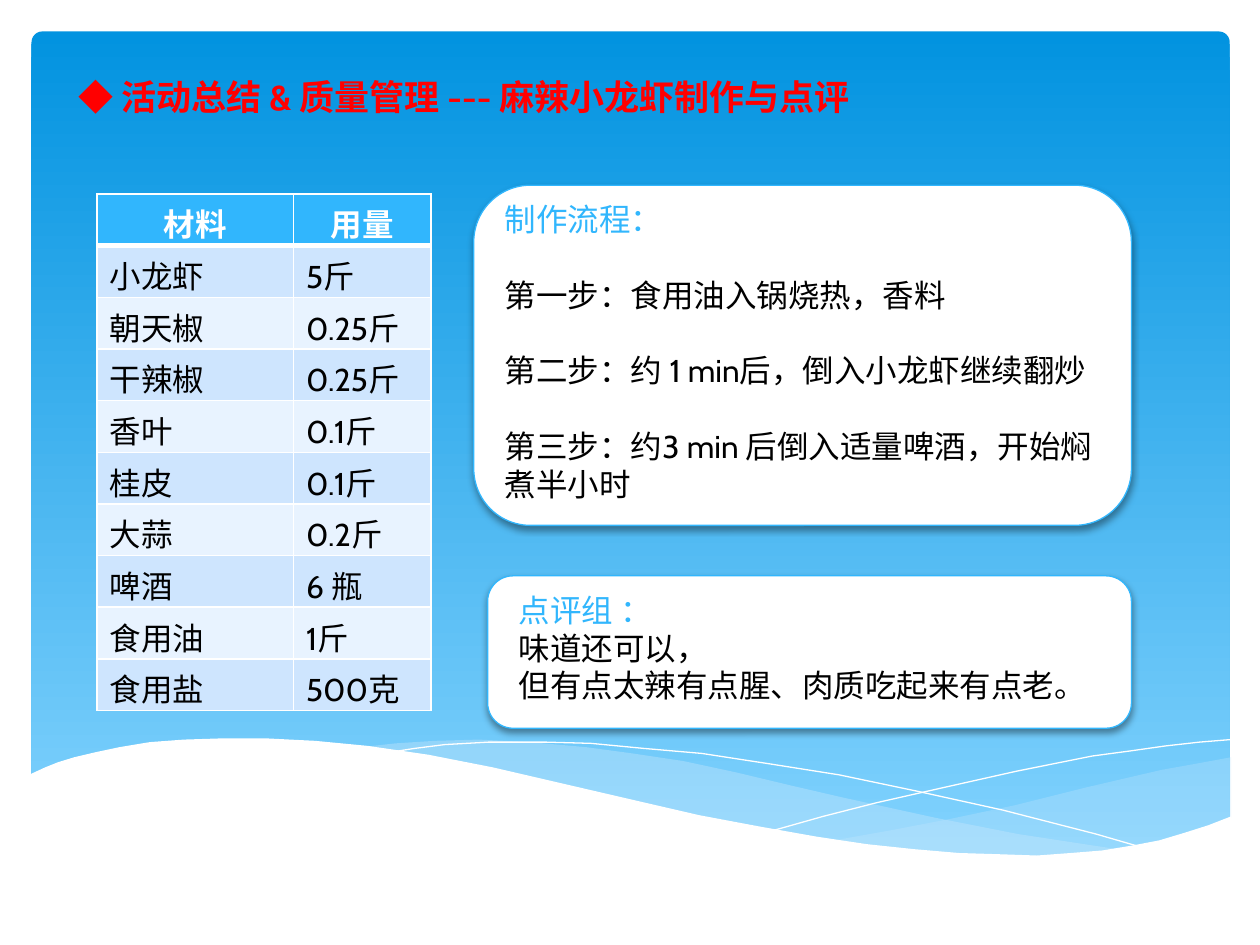
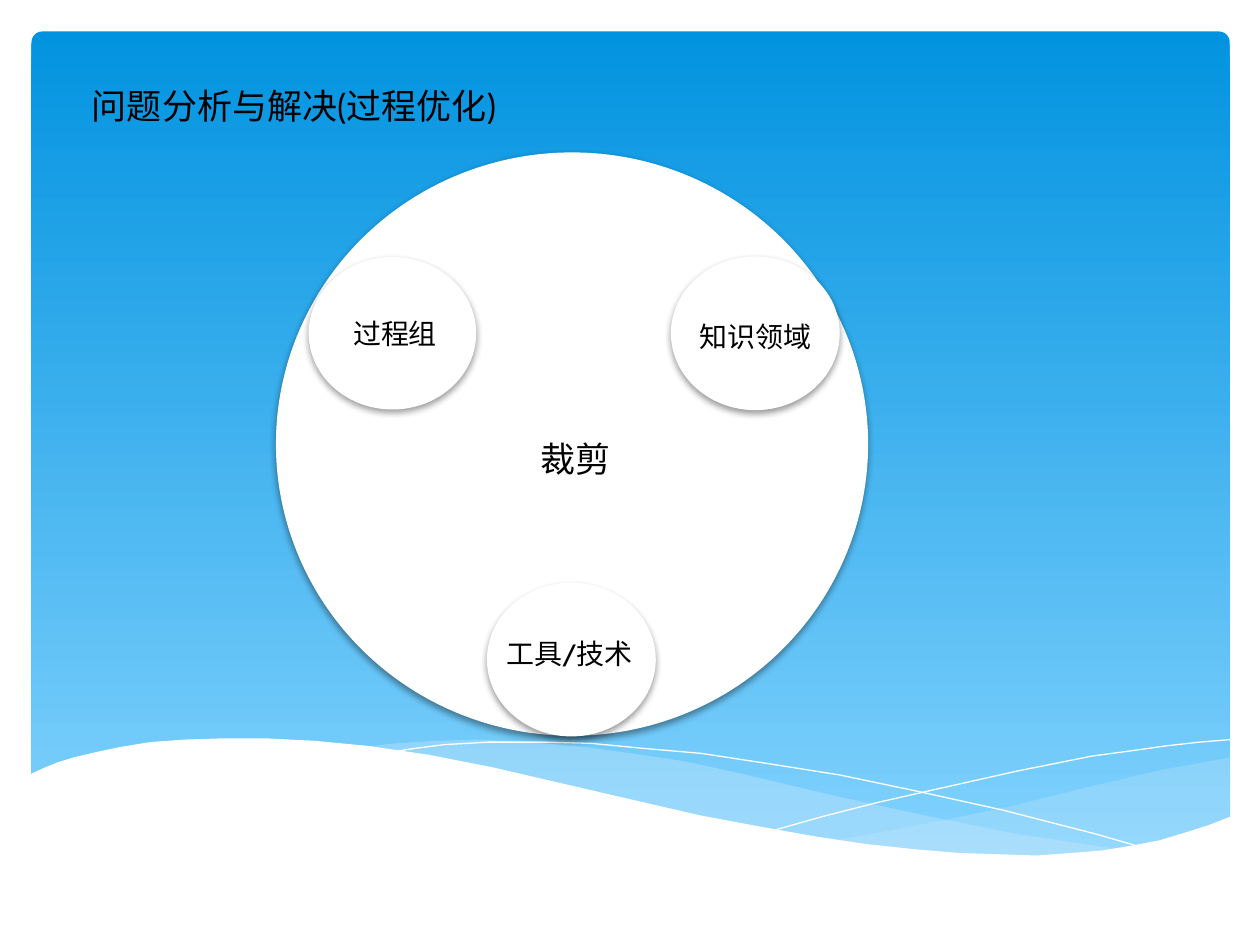
import pptx
import pptx.util
import pptx.dml.color
import pptx.enum.dml
import pptx.enum.shapes
import pptx.enum.text
import pptx.oxml
import pptx.oxml.ns
import lxml.etree

Inches = pptx.util.Inches
Pt = pptx.util.Pt
MSO_SHAPE = pptx.enum.shapes.MSO_SHAPE
PP_ALIGN = pptx.enum.text.PP_ALIGN
qn = pptx.oxml.ns.qn

FONT = "Cabin"
WHITE, BLACK, RED, BLUE = "FFFFFF", "000000", "FF0000", "31B6FD"
SKY_TOP, SKY_BOTTOM, HAZE = "0293E0", "83D3FE", "C6E7FC"
BAND_ROWS = ["E8F3FF", "CEE5FE"]

RIGHT_WAVE = [
    (9.77, 6.01), (9.5, 6.06), (9.22, 6.11), (8.92, 6.18), (8.62, 6.25),
    (8.06, 6.39), (7.54, 6.5), (7.07, 6.59), (6.62, 6.67), (6.92, 6.71),
    (7.33, 6.76), (7.7, 6.79), (8.04, 6.8), (8.36, 6.79), (8.64, 6.77),
    (8.9, 6.74), (9.14, 6.69), (9.37, 6.63), (9.64, 6.54), (9.77, 6.49)]
MIDDLE_WAVE = [
    (8.94, 6.75), (8.67, 6.71), (8.08, 6.62), (7.42, 6.49), (6.69, 6.33),
    (6.3, 6.24), (5.84, 6.13), (5.42, 6.04), (5.02, 5.98), (4.65, 5.93),
    (4.2, 5.89), (3.8, 5.87), (3.45, 5.88), (3.14, 5.9), (2.87, 5.93),
    (3.23, 5.98), (3.63, 6.04), (4.05, 6.13), (4.5, 6.24), (5.3, 6.42),
    (5.85, 6.54), (6.35, 6.63), (6.81, 6.7), (7.23, 6.76), (7.62, 6.79),
    (7.97, 6.8), (8.39, 6.8), (8.68, 6.78)]
FALLING_LINE = [
    (3.1, 5.97), (3.29, 5.94), (3.53, 5.91), (3.88, 5.89), (4.33, 5.89),
    (4.69, 5.9), (5.11, 5.94), (5.57, 5.98), (6.09, 6.06), (6.66, 6.15),
    (7.28, 6.28), (7.96, 6.43), (8.7, 6.62), (9.08, 6.73)]
RISING_LINE = [
    (6.14, 6.59), (6.53, 6.48), (6.96, 6.37), (7.49, 6.25), (8.07, 6.12),
    (8.67, 6), (8.97, 5.96), (9.25, 5.92), (9.52, 5.89), (9.76, 5.87)]
WHITE_WAVE = [
    (9.77, 6.48), (9.59, 6.55), (9.4, 6.61), (9.2, 6.67), (8.99, 6.71),
    (8.75, 6.75), (8.5, 6.77), (8.23, 6.79), (7.93, 6.78), (7.61, 6.77),
    (7.26, 6.74), (6.88, 6.7), (6.48, 6.64), (6.03, 6.56), (5.55, 6.47),
    (5.03, 6.35), (4.47, 6.22), (3.91, 6.09), (3.4, 5.99), (2.92, 5.92),
    (2.5, 5.88), (2.11, 5.86), (1.77, 5.86), (1.46, 5.87), (1.19, 5.89),
    (0.95, 5.93), (0.76, 5.97), (0.59, 6.01), (0.46, 6.05), (0.36, 6.09),
    (0.23, 6.15), (0.23, 7.31), (9.77, 7.31)]


def rgb(color):
    return pptx.dml.color.RGBColor.from_string(color)


def inches(*values):
    return [Inches(v) for v in values]


def add_xml(parent, tag, **attrs):
    child = lxml.etree.SubElement(parent, qn(tag))
    for name, value in attrs.items():
        child.set(name, str(value))
    return child


class Deck:
    """Holds the style and the current slide."""

    def __init__(self):
        self.prs = pptx.Presentation()
        self.prs.slide_width, self.prs.slide_height = inches(10, 7.5)
        self.s = None

    def new_slide(self):
        self.s = self.prs.slides.add_slide(self.prs.slide_layouts[5])
        self.background()

    def background(self):
        panel = self.shape(MSO_SHAPE.ROUNDED_RECTANGLE, 0.25, 0.25, 9.51, 6.6)
        panel.adjustments[0] = 0.013
        panel.fill.gradient()
        panel.fill.gradient_angle = 270
        for stop, color in zip(panel.fill.gradient_stops, (SKY_TOP, SKY_BOTTOM)):
            stop.color.rgb = rgb(color)
        self.wave(RIGHT_WAVE, HAZE, 29)
        self.wave(MIDDLE_WAVE, HAZE, 40)
        self.wave(FALLING_LINE)
        self.wave(RISING_LINE)
        self.wave(WHITE_WAVE, WHITE)

    def wave(self, points, fill=None, opacity=100):
        """Filled outline, or an open white hairline when there is no fill."""
        points = [inches(*point) for point in points]
        builder = self.s.shapes.build_freeform(*points[0])
        builder.add_line_segments(points[1:], close=fill is not None)
        sp = builder.convert_to_shape()
        self.paint(sp, fill, None if fill else WHITE, 0)
        if opacity < 100:
            color = sp.element.spPr.find(qn("a:solidFill")).find(qn("a:srgbClr"))
            add_xml(color, "a:alpha", val=opacity * 1000)

    def paint(self, sp, fill, line, width):
        if fill:
            sp.fill.solid()
            sp.fill.fore_color.rgb = rgb(fill)
        else:
            sp.fill.background()
        if line:
            sp.line.color.rgb = rgb(line)
            sp.line.width = Pt(width)
        else:
            sp.line.fill.background()
        sp.shadow.inherit = False

    def shape(self, kind, x, y, w, h, line=None):
        sp = self.s.shapes.add_shape(kind, *inches(x, y, w, h))
        self.paint(sp, WHITE, line, 0.75)
        return sp

    def raised(self, kind, x, y, w, h, line=None):
        """White shape with a soft shadow below it."""
        sp = self.shape(kind, x, y, w, h, line)
        shadow = add_xml(sp.element.spPr.find(qn("a:effectLst")), "a:outerShdw",
                         blurRad=Pt(4), dist=Pt(2), dir=5400000,
                         algn="ctr", rotWithShape=0)
        color = add_xml(shadow, "a:srgbClr", val=BLACK)
        add_xml(color, "a:alpha", val=38000)

    def run(self, p, text, size, color, bold=False, font=FONT):
        r = p.add_run()
        r.text = text
        style = {"name": font, "size": Pt(size), "bold": bold}
        for name, value in style.items():
            setattr(r.font, name, value)
        r.font.color.rgb = rgb(color)

    def frame(self, tf):
        style = {"word_wrap": True,
                 "auto_size": pptx.enum.text.MSO_AUTO_SIZE.SHAPE_TO_FIT_TEXT,
                 "vertical_anchor": pptx.enum.text.MSO_ANCHOR.TOP}
        for name, value in style.items():
            setattr(tf, name, value)

    def title(self, x, y, w, runs, color=BLACK, bold=False):
        title = self.s.shapes.title
        box = dict(zip(("left", "top", "width", "height"), inches(x, y, w, 0.44)))
        for name, value in box.items():
            setattr(title, name, value)
        self.frame(title.text_frame)
        p = title.text_frame.paragraphs[0]
        p.alignment = PP_ALIGN.LEFT
        for text, font in runs:
            self.run(p, text, 20, color, bold, font)
        title.element.getparent().append(title.element)

    def text(self, x, y, w, h, lines, size=18, align=PP_ALIGN.LEFT, gap=0):
        """Text box from (text, colour) lines, with gap points between them."""
        tf = self.s.shapes.add_textbox(*inches(x, y, w, h)).text_frame
        self.frame(tf)
        for i, (text, color) in enumerate(lines):
            p = tf.add_paragraph() if i else tf.paragraphs[0]
            p.alignment = align
            p.space_before = Pt(gap if i else 0)
            self.run(p, text, size, color)

    def label(self, x, y, w, h, text, size=16):
        self.text(x, y, w, h, [(text, BLACK)], size, PP_ALIGN.CENTER)

    def table(self, x, y, col_widths, row_height, rows):
        table = self.s.shapes.add_table(
            len(rows), len(col_widths),
            *inches(x, y, sum(col_widths), row_height * len(rows))).table
        for column, width in zip(table.columns, col_widths):
            column.width = Inches(width)
        for i, row in enumerate(rows):
            table.rows[i].height = Inches(row_height)
            for j, text in enumerate(row):
                self.cell(table.cell(i, j), text, i)

    def cell(self, cell, text, row):
        header = row == 0
        cell.fill.solid()
        cell.fill.fore_color.rgb = rgb(BLUE if header else BAND_ROWS[row % 2])
        p = cell.text_frame.paragraphs[0]
        p.alignment = PP_ALIGN.CENTER if header else PP_ALIGN.LEFT
        self.run(p, text, 18, WHITE if header else BLACK, header)
        widths = {"L": 1, "R": 1, "T": 3 if row == 1 else 1, "B": 3 if header else 1}
        tcPr = cell._tc.get_or_add_tcPr()
        for i, (side, width) in enumerate(widths.items()):
            ln = add_xml(tcPr, "a:ln" + side, w=Pt(width))
            add_xml(add_xml(ln, "a:solidFill"), "a:srgbClr", val=WHITE)
            tcPr.insert(i, ln)


def crayfish_slide(deck):
    deck.new_slide()
    deck.raised(MSO_SHAPE.ROUNDED_RECTANGLE, 3.76, 1.47, 5.22, 2.7, BLUE)
    deck.text(3.91, 1.54, 5.06, 2.52, [
        ("制作流程：", BLUE),
        ("第一步：食用油入锅烧热，香料", BLACK),
        ("第二步：约 1 min后，倒入小龙虾继续翻炒", BLACK),
        ("第三步：约3 min 后倒入适量啤酒，开始焖煮半小时", BLACK)], gap=21.6)
    deck.table(0.77, 1.54, [1.56, 1.09], 0.41, [
        ("材料", "用量"), ("小龙虾", "5斤"), ("朝天椒", "0.25斤"),
        ("干辣椒", "0.25斤"), ("香叶", "0.1斤"), ("桂皮", "0.1斤"),
        ("大蒜", "0.2斤"), ("啤酒", "6 瓶"), ("食用油", "1斤"),
        ("食用盐", "500克")])
    deck.raised(MSO_SHAPE.ROUNDED_RECTANGLE, 3.87, 4.57, 5.11, 1.21, BLUE)
    deck.text(4.02, 4.64, 4.71, 1.01, [
        ("点评组 ：", BLUE),
        ("味道还可以，", BLACK),
        ("但有点太辣有点腥、肉质吃起来有点老。", BLACK)])
    deck.title(0.52, 0.55, 8.45, [
        ("◆ ", "Arial"),
        ("活动总结 & 质量管理 --- 麻辣小龙虾制作与点评", FONT)], RED, True)


def tailoring_slide(deck):
    deck.new_slide()
    deck.raised(MSO_SHAPE.OVAL, 2.19, 1.21, 4.7, 4.63)
    deck.label(3.55, 3.42, 2.03, 0.45, "裁剪", 20)
    for text, x, y, line, label_x, label_y, label_w in [
            ("过程组", 2.45, 2.04, None, 2.49, 2.46, 1.29),
            ("工具/技术", 3.87, 4.63, WHITE, 3.84, 5, 1.36),
            ("知识领域", 5.33, 2.04, WHITE, 5.33, 2.49, 1.33)]:
        deck.raised(MSO_SHAPE.OVAL, x, y, 1.33, 1.21, line)
        deck.label(label_x, label_y, label_w, 0.37, text)
    deck.title(0.63, 0.62, 4.7, [("问题分析与解决(过程优化)", FONT)])


def main():
    deck = Deck()
    crayfish_slide(deck)
    tailoring_slide(deck)
    deck.prs.save("out.pptx")


if __name__ == "__main__":
    main()
